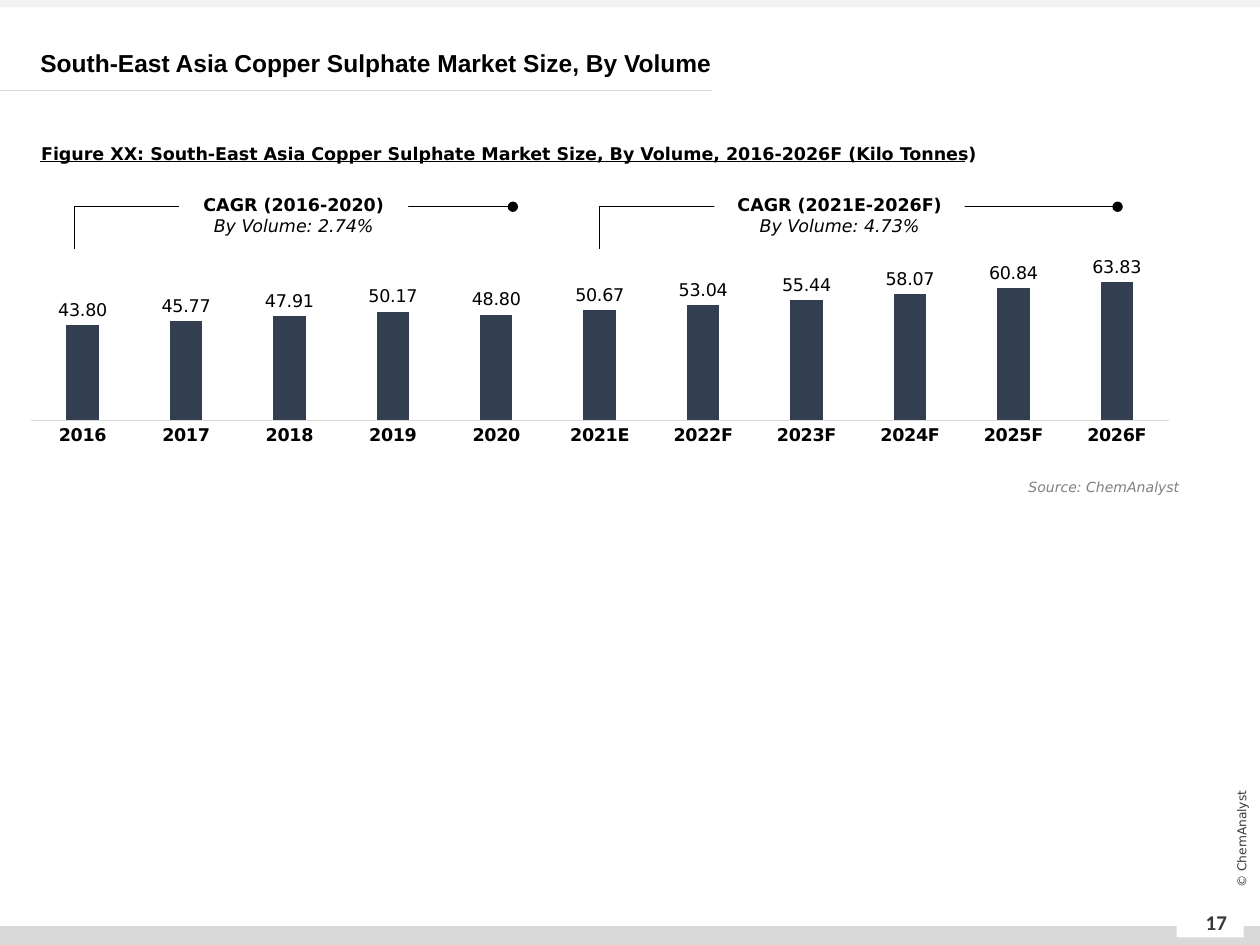
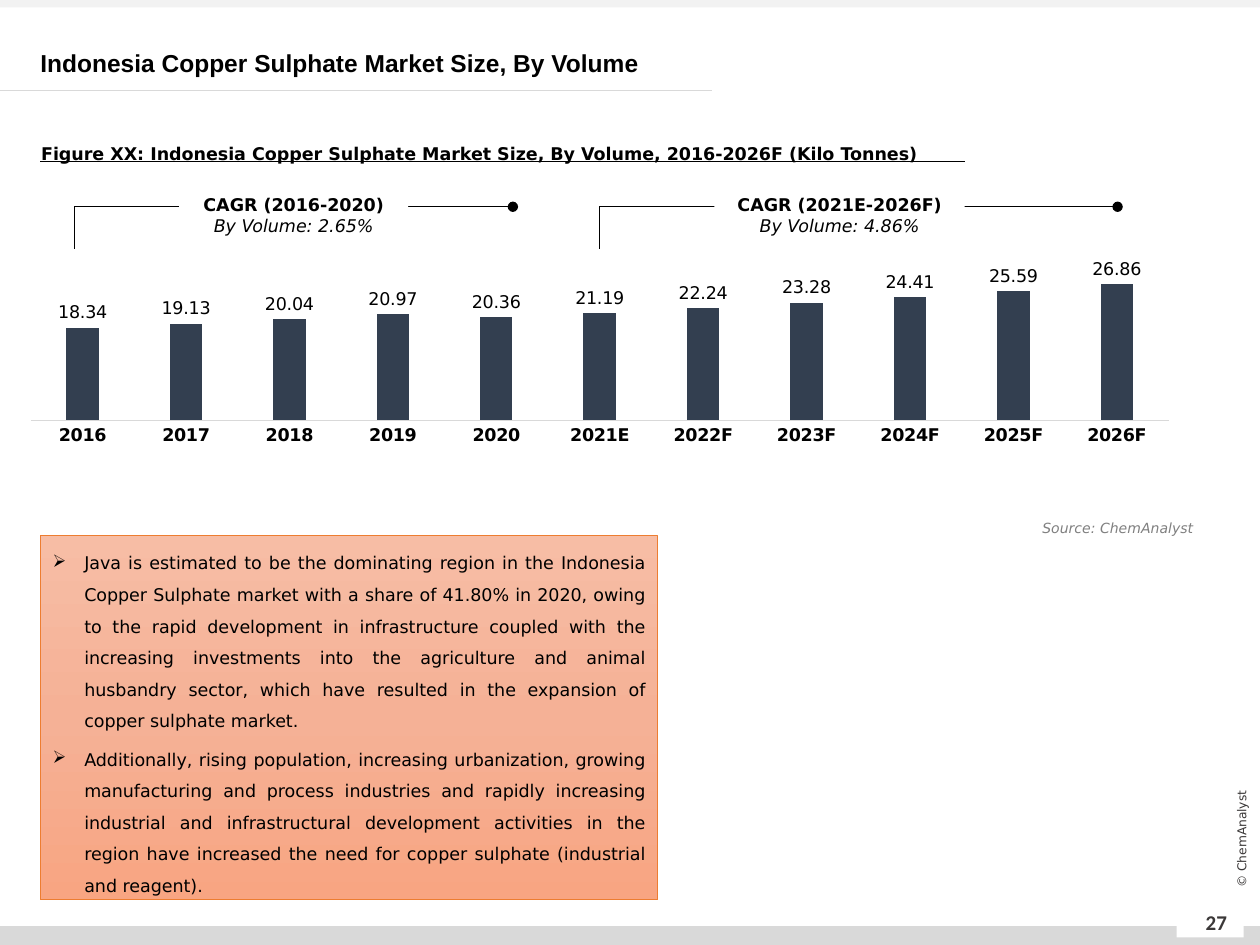
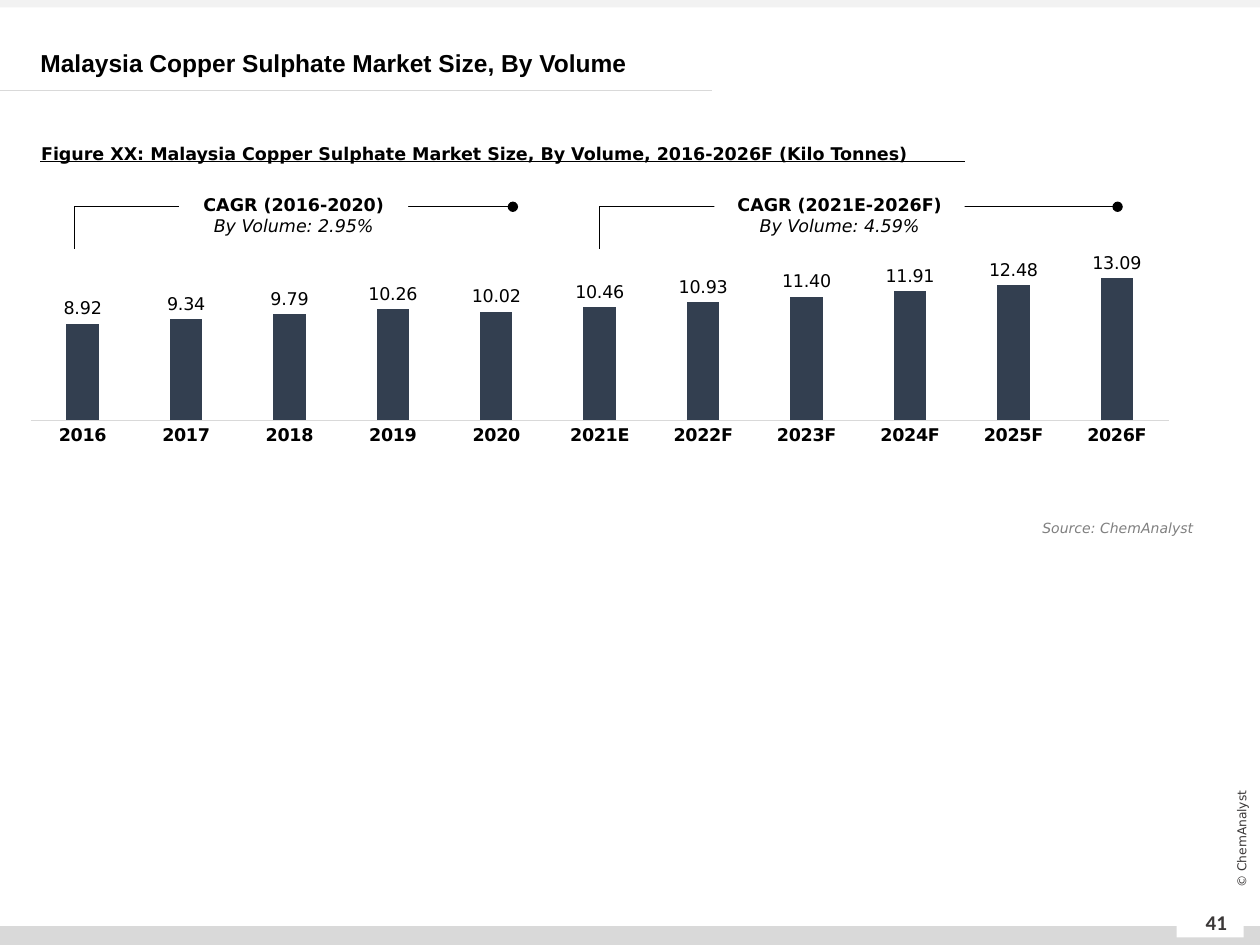
from dataclasses import dataclass

from lxml.etree import SubElement
from pptx import Presentation
from pptx.chart.data import CategoryChartData
from pptx.dml.color import RGBColor
from pptx.enum.chart import XL_CHART_TYPE, XL_LABEL_POSITION, XL_TICK_MARK
from pptx.enum.shapes import MSO_CONNECTOR, MSO_SHAPE
from pptx.enum.text import MSO_ANCHOR, MSO_AUTO_SIZE, PP_ALIGN
from pptx.oxml import parse_xml
from pptx.oxml.ns import nsdecls, qn
from pptx.util import Cm, Pt


@dataclass(frozen=True)
class Theme:
    """Colours, fonts and type sizes shared by all slides."""

    ink: str = "000000"
    white: str = "FFFFFF"
    dark: str = "3B3838"
    mute: str = "808080"
    rule: str = "D9D9D9"
    pale: str = "F2F2F2"
    bar: str = "333F50"
    edge: str = "ED7D31"
    glow: tuple = ("F7BDA5", "F5B196", "F8A582")
    face: str = "DejaVu Sans"
    head: str = "Arial"
    count: str = "Calibri"
    title: int = 14
    page: int = 12
    body: int = 10
    note: int = 8
    small: int = 7
    thin: float = 0.5


LOOK = Theme()
YEARS = ["2016", "2017", "2018", "2019", "2020",
         "2021E", "2022F", "2023F", "2024F", "2025F", "2026F"]
POINTS = [
    "Java is estimated to be the dominating region in the Indonesia Copper "
    "Sulphate market with a share of 41.80% in 2020, owing to the rapid "
    "development in infrastructure coupled with the increasing investments "
    "into the agriculture and animal husbandry sector, which have resulted "
    "in the expansion of copper sulphate market.",
    "Additionally, rising population, increasing urbanization, growing "
    "manufacturing and process industries and rapidly increasing industrial "
    "and infrastructural development activities in the region have increased "
    "the need for copper sulphate (industrial and reagent).",
]
LOW = (18.19, 10.34)
PAGES = [
    dict(place="South-East Asia", page=17, rates=("2.74%", "4.73%"), top=70,
         source=(17.91, 9.53), points=[],
         vals=[43.8, 45.77, 47.91, 50.17, 48.8, 50.67,
               53.04, 55.44, 58.07, 60.84, 63.83]),
    dict(place="Indonesia", page=27, rates=("2.65%", "4.86%"), top=30,
         source=LOW, points=POINTS,
         vals=[18.34, 19.13, 20.04, 20.97, 20.36, 21.19,
               22.24, 23.28, 24.41, 25.59, 26.86]),
    dict(place="Malaysia", page=41, rates=("2.95%", "4.59%"), top=14,
         source=LOW, points=[],
         vals=[8.92, 9.34, 9.79, 10.26, 10.02, 10.46,
               10.93, 11.4, 11.91, 12.48, 13.09]),
]


def paint(font, size, color=LOOK.ink, face=LOOK.face, bold=False, slant=False):
    """Style one font."""
    font.size, font.name = Pt(size), face
    font.bold, font.italic = bold, slant
    font.color.rgb = RGBColor.from_string(color)


def style(para, size, align=PP_ALIGN.LEFT, space=None, **looks):
    """Align a paragraph and style its runs."""
    para.alignment = align
    if space:
        para.line_spacing = space
    for run in para.runs:
        paint(run.font, size, **looks)


def block(slide, box, fill):
    """Draw a plain filled rectangle."""
    shape = slide.shapes.add_shape(MSO_SHAPE.RECTANGLE, *map(Cm, box))
    shape.shadow.inherit = False
    shape.fill.solid()
    shape.fill.fore_color.rgb = RGBColor.from_string(fill)
    shape.line.fill.background()
    return shape


def label(slide, box, text, size, anchor=MSO_ANCHOR.TOP, **looks):
    """Add a text box with one styled paragraph."""
    shape = slide.shapes.add_textbox(*map(Cm, box))
    frame = shape.text_frame
    frame.word_wrap = True
    frame.vertical_anchor = anchor
    frame.text = text
    style(frame.paragraphs[0], size, **looks)
    return shape


def wire(slide, ends, color=LOOK.ink, kind=MSO_CONNECTOR.STRAIGHT):
    """Draw a thin connector."""
    line = slide.shapes.add_connector(kind, *map(Cm, ends))
    line.line.color.rgb = RGBColor.from_string(color)
    line.line.width = Pt(LOOK.thin)
    SubElement(line.element.spPr, qn("a:effectLst"))
    return line


def share(slide, layout):
    """Place the bands, the rule and the rights line on the layout."""
    mark = label(slide, (23.5, 16.71, 3.05, 0.41), "© ChemAnalyst", LOOK.small,
                 MSO_ANCHOR.MIDDLE, align=PP_ALIGN.CENTER, color=LOOK.dark)
    mark.rotation = 270
    parts = [
        block(slide, (0, 18.67, 25.4, 0.38), LOOK.rule),
        block(slide, (0, 0, 25.4, 0.15), LOOK.pale),
        block(slide, (23.72, 18.34, 1.35, 0.56), LOOK.white),
        wire(slide, (0, 1.83, 14.35, 1.83), LOOK.rule),
        mark,
    ]
    for spare in list(layout.placeholders)[1:]:
        layout.shapes.element.remove(spare.element)
    for part in parts:
        layout.shapes.element.append(part.element)


def head(slide, text):
    """Set and place the slide title."""
    title = slide.shapes.title
    title.left, title.top, title.width, title.height = map(
        Cm, (0.56, 0.86, 24.79, 0.81))
    frame = title.text_frame
    frame.text = text
    frame.auto_size = MSO_AUTO_SIZE.NONE
    frame.vertical_anchor = MSO_ANCHOR.MIDDLE
    style(frame.paragraphs[0], LOOK.title, space=Pt(17),
          face=LOOK.head, bold=True)


def graph(slide, vals, top):
    """Add the column chart of yearly volume."""
    data = CategoryChartData(number_format="0.00")
    data.categories = YEARS
    data.add_series("Series 1", vals)
    box = map(Cm, (0.61, 4.57, 22.96, 5.28))
    chart = slide.shapes.add_chart(
        XL_CHART_TYPE.COLUMN_CLUSTERED, *box, data).chart
    chart.has_title = chart.has_legend = False
    paint(chart.font, LOOK.body)

    years, scale = chart.category_axis, chart.value_axis
    years.major_tick_mark = years.minor_tick_mark = XL_TICK_MARK.NONE
    paint(years.tick_labels.font, LOOK.body, bold=True)
    years.format.line.color.rgb = RGBColor.from_string(LOOK.rule)
    years.format.line.width = Pt(0.75)
    scale.has_major_gridlines = scale.visible = False
    scale.minimum_scale, scale.maximum_scale = 0, top

    plot = chart.plots[0]
    plot.gap_width, plot.overlap = 219, -27
    plot.vary_by_categories = False
    fill = plot.series[0].format.fill
    fill.solid()
    fill.fore_color.rgb = RGBColor.from_string(LOOK.bar)
    plot.has_data_labels = True
    tags = plot.data_labels
    tags.show_value = True
    tags.position = XL_LABEL_POSITION.OUTSIDE_END
    tags.number_format, tags.number_format_is_linked = "0.00", False
    paint(tags.font, LOOK.body)
    inset(chart)


def inset(chart):
    """Fix the inner plot area within the chart."""
    area = chart.element.find(".//" + qn("c:plotArea"))
    for old in area.findall(qn("c:layout")):
        area.remove(old)
    rules = [("layoutTarget", "inner"), ("xMode", "edge"), ("yMode", "edge"),
             ("x", 0), ("y", 0.16), ("w", 1), ("h", 0.58)]
    tags = "".join(f'<c:{name} val="{val}"/>' for name, val in rules)
    area.insert(0, parse_xml(
        f'<c:layout {nsdecls("c")}><c:manualLayout>{tags}'
        '</c:manualLayout></c:layout>'))


def growth(slide, span, rate, start, end, box):
    """Draw a bracket over some years with its growth rate."""
    line = wire(slide, (start, 5.02, end, 4.17), kind=MSO_CONNECTOR.ELBOW)
    guide = line.element.spPr.find(".//" + qn("a:avLst"))
    SubElement(guide, qn("a:gd"), name="adj1", fmla="val 0")
    SubElement(line.element.spPr.find(qn("a:ln")), qn("a:tailEnd"), type="oval")
    left, width = box
    frame = block(slide, (left, 3.61, width, 1.45), LOOK.white).text_frame
    frame.vertical_anchor = MSO_ANCHOR.MIDDLE
    frame.text = f"CAGR ({span})\nBy Volume: {rate}"
    for row, para in enumerate(frame.paragraphs):
        style(para, LOOK.body, PP_ALIGN.CENTER, bold=row == 0, slant=row == 1)


def panel(slide, points):
    """Add the shaded panel of bullet points."""
    shape = block(slide, (0.81, 10.8, 12.45, 7.34), LOOK.white)
    shape.line.color.rgb = RGBColor.from_string(LOOK.edge)
    shape.line.width = Pt(LOOK.thin)
    shape.fill.gradient()
    shape.fill.gradient_angle = 270
    stops = shape.element.spPr.find(".//" + qn("a:gsLst"))
    for old in list(stops):
        stops.remove(old)
    for step, color in enumerate(LOOK.glow):
        stop = SubElement(stops, qn("a:gs"), pos=str(step * 50000))
        SubElement(stop, qn("a:srgbClr"), val=color)

    frame = shape.text_frame
    frame.vertical_anchor = MSO_ANCHOR.TOP
    frame.text = "\n".join(points)
    for para in frame.paragraphs:
        style(para, LOOK.body, PP_ALIGN.JUSTIFY, 1.5)
    for para in frame.paragraphs[1:]:
        para.space_before = Pt(4)
    for prop in shape.element.iter(qn("a:pPr")):
        prop.set("marL", str(Cm(0.64)))
        prop.set("indent", str(Cm(-0.64)))
        SubElement(prop, qn("a:buChar"), char="➢")


def build(slide, place, page, rates, top, source, points, vals):
    """Fill one market slide."""
    name = f"{place} Copper Sulphate Market Size, By Volume"
    head(slide, name)
    label(slide, (23.9, 18.08, 1.24, 1.02), str(page), LOOK.page,
          MSO_ANCHOR.MIDDLE, align=PP_ALIGN.CENTER, color=LOOK.dark,
          face=LOOK.count, bold=True)
    graph(slide, vals, top)
    growth(slide, "2021E-2026F", rates[1], 12.09, 22.53, (14.4, 5.05))
    growth(slide, "2016-2020", rates[0], 1.5, 10.34, (3.61, 4.62))
    label(slide, (0.58, 2.54, 22.4, 0.81),
          f"Figure XX: {name}, 2016-2026F (Kilo Tonnes)",
          LOOK.body, space=1.5, bold=True)
    wire(slide, (0.81, 3.25, 19.46, 3.25))
    label(slide, (*source, 6.12, 0.61), "Source: ChemAnalyst", LOOK.note,
          align=PP_ALIGN.RIGHT, color=LOOK.mute, slant=True)
    if points:
        panel(slide, points)


def main():
    """Build and save the deck."""
    deck = Presentation()
    deck.slide_width, deck.slide_height = Cm(25.4), Cm(19.05)
    layout = deck.slide_layouts[5]
    slides = [deck.slides.add_slide(layout) for _ in PAGES]
    share(slides[0], layout)
    for slide, facts in zip(slides, PAGES):
        build(slide, **facts)
    deck.save("out.pptx")


if __name__ == "__main__":
    main()
